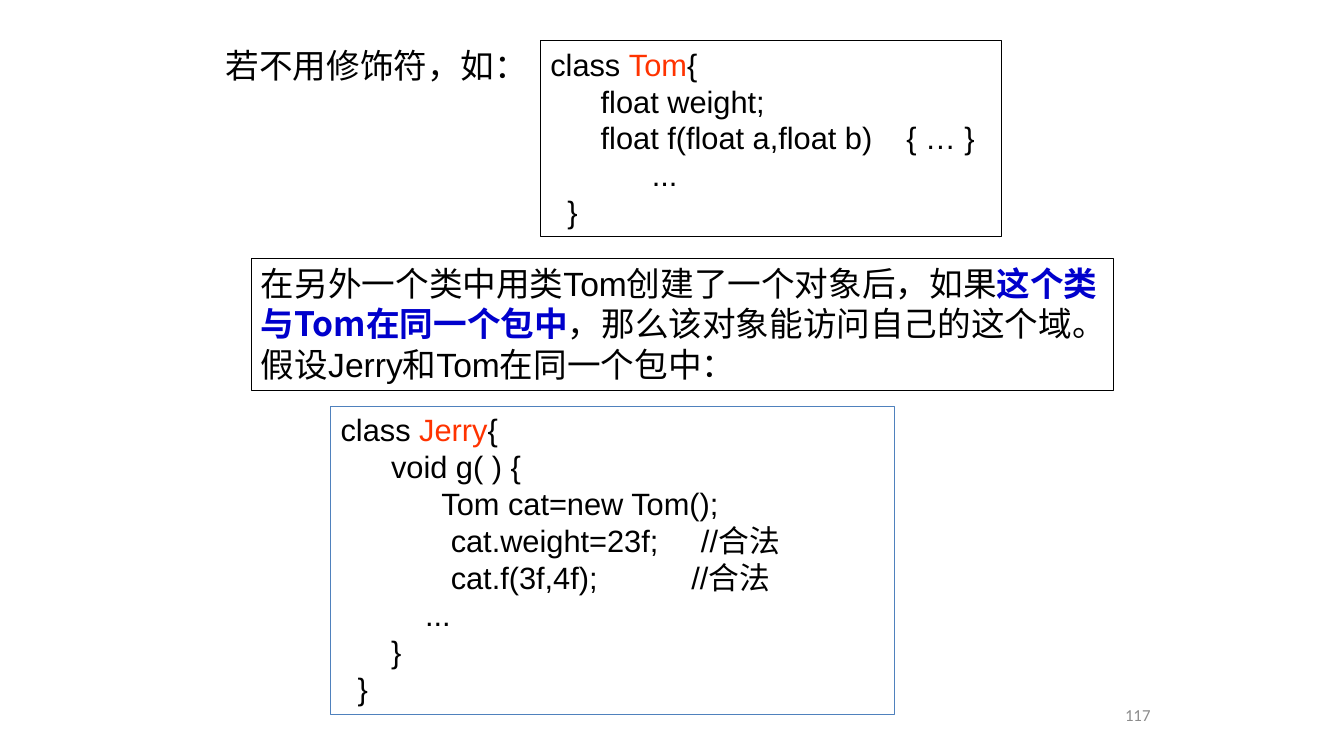
from lxml import etree
from pptx import Presentation, util as u
from pptx.dml.color import RGBColor
from pptx.enum import shapes, text
from pptx.oxml.ns import qn

BLACK = RGBColor(0x00, 0x00, 0x00)
RED = RGBColor(0xFF, 0x33, 0x00)
BLUE = RGBColor(0x00, 0x00, 0xCC)
FRAME_BLUE = RGBColor(0x4F, 0x81, 0xBD)
GREY = RGBColor(0x8C, 0x8C, 0x8C)
LATIN, CJK = "Arial", "Noto Sans CJK SC"


class Deck:
    def __init__(self, width, height):
        self.prs = Presentation()
        self.prs.slide_width, self.prs.slide_height = u.Inches(width), u.Inches(height)
        self.s = self.prs.slides.add_slide(self.prs.slide_layouts[6])

    def fill_text(self, tf, paragraphs, size, **frame):
        """Each paragraph is (level, runs); each run is (text, format)."""
        fmt = {"word_wrap": True, "auto_size": text.MSO_AUTO_SIZE.SHAPE_TO_FIT_TEXT,
               "vertical_anchor": text.MSO_ANCHOR.TOP, "align": text.PP_ALIGN.LEFT} | frame
        align = fmt.pop("align")
        for name, value in fmt.items():
            setattr(tf, name, value)
        for i, (level, runs) in enumerate(paragraphs):
            p = tf.paragraphs[0] if i == 0 else tf.add_paragraph()
            p.alignment, p.level = align, level
            if level:
                p._p.get_or_add_pPr().set("marL", str(u.Inches(0.5 * level)))
                p._p.pPr.set("indent", "0")
            for words, style in runs:
                r = p.add_run()
                r.text = words
                font = {"name": LATIN, "size": u.Pt(size), "bold": False} | style
                r.font.color.rgb = font.pop("color", BLACK)
                for name, value in font.items():
                    setattr(r.font, name, value)
                etree.SubElement(r._r.get_or_add_rPr(), qn("a:ea")).set("typeface", CJK)

    def label(self, at, words, size, style, **frame):
        sp = self.s.shapes.add_textbox(*map(u.Inches, at))
        self.fill_text(sp.text_frame, [(0, [(words, style)])], size, **frame)

    def box(self, at, paragraphs, size, line=BLACK):
        sp = self.s.shapes.add_shape(shapes.MSO_SHAPE.RECTANGLE, *map(u.Inches, at))
        sp.shadow.inherit = False
        sp.fill.background()
        sp.line.color.rgb = line
        sp.line.width = u.Pt(0.75)
        self.fill_text(sp.text_frame, paragraphs, size)

    def class_box(self, at, name, body, line=BLACK):
        head = (0, [("class ", {}), (name, {"color": RED}), ("{", {})])
        members = [(1, [(code, {})]) for code in body]
        self.box(at, [head, *members, (0, [("  }", {})])], 22, line)


def main():
    deck = Deck(13.33, 7.5)

    # Explanation
    deck.box((2.49, 2.56, 8.55, 1.31), [(0, [
        ("在另外一个类中用类Tom创建了一个对象后，如果", {}),
        ("这个类与Tom在同一个包中", {"name": CJK, "color": BLUE, "bold": True}),
        ("，那么该对象能访问自己的这个域。假设Jerry和Tom在同一个包中：", {}),
    ])], 24)

    # Slide number
    deck.label((8.34, 6.84, 3.17, 0.5), "117", 12, {"name": "Calibri", "color": GREY},
               align=text.PP_ALIGN.RIGHT, vertical_anchor=text.MSO_ANCHOR.MIDDLE,
               auto_size=text.MSO_AUTO_SIZE.NONE)

    # Code of the two classes
    deck.class_box((5.36, 0.4, 4.57, 1.95), "Tom", [
        "float weight;",
        "float f(float a,float b)    { … }",
        "      ...",
    ])
    deck.class_box((3.28, 4.03, 5.59, 3.06), "Jerry", [
        "void g( ) {",
        "\tTom cat=new Tom();",
        "       cat.weight=23f;     //合法",
        "       cat.f(3f,4f);           //合法",
        "    ...",
        "}",
    ], FRAME_BLUE)

    # Lead-in
    deck.label((2.14, 0.4, 3.2, 0.5), "若不用修饰符，如：", 24, {}, word_wrap=False)

    deck.prs.save("out.pptx")


if __name__ == "__main__":
    main()
